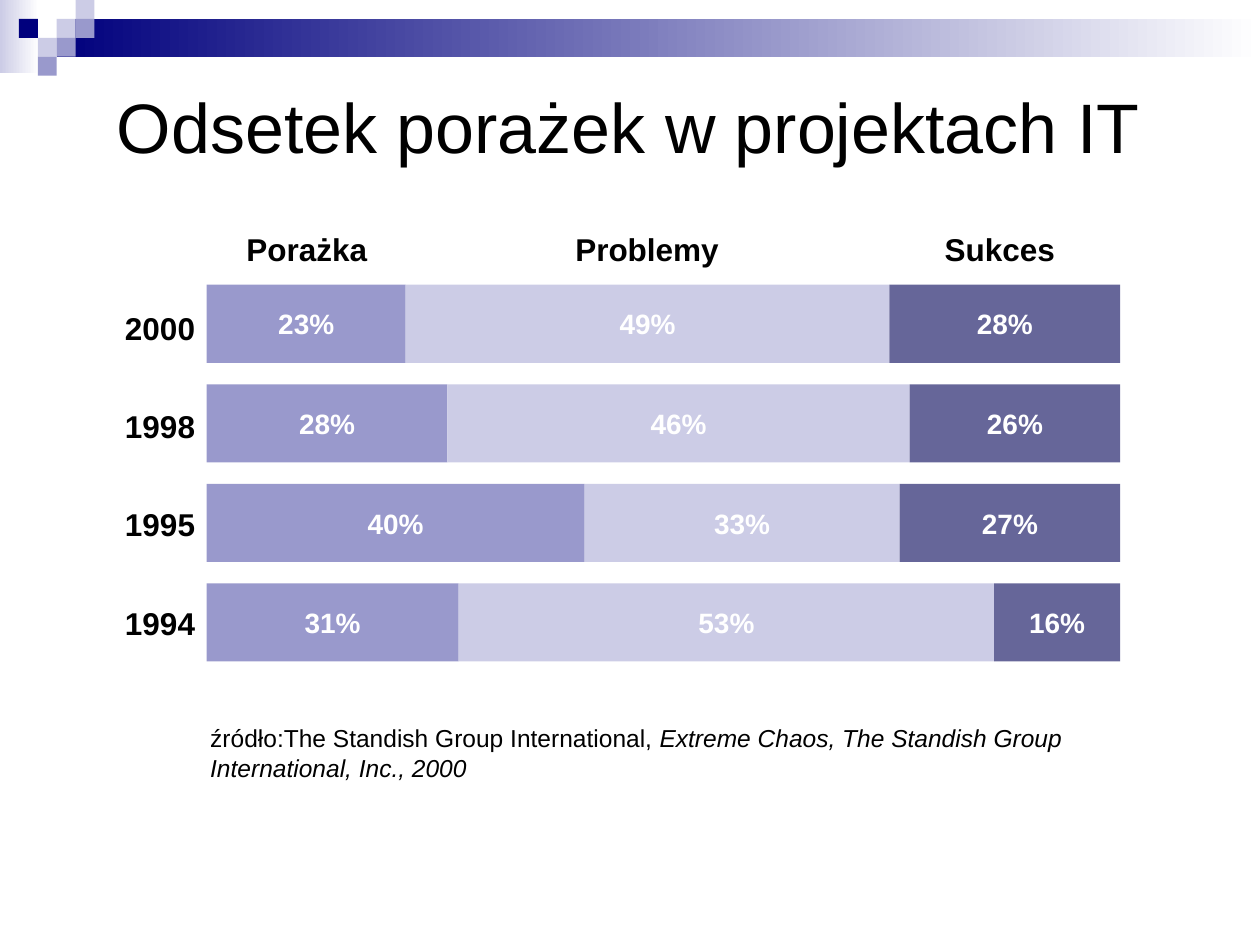
from dataclasses import dataclass

from pptx import Presentation
from pptx.dml.color import RGBColor
from pptx.enum.shapes import MSO_SHAPE
from pptx.enum.text import MSO_ANCHOR, PP_ALIGN
from pptx.util import Inches, Pt


@dataclass(frozen=True)
class Theme:
    font: str = "Arial"
    black: str = "000000"
    white: str = "FFFFFF"
    navy: str = "00007D"
    lavender: str = "9999CC"
    pale: str = "CCCCE6"
    slate: str = "666699"
    title_size: int = 40
    label_size: int = 18
    value_size: int = 16
    source_size: int = 14


theme = Theme()
deck = Presentation()
deck.slide_width, deck.slide_height = Inches(10), Inches(7.5)
slide = deck.slides.add_slide(deck.slide_layouts[6])


def add_block(left, top, width, height, *colors):
    block = slide.shapes.add_shape(
        MSO_SHAPE.RECTANGLE, Inches(left), Inches(top), Inches(width), Inches(height))
    block.shadow.inherit = False
    block.line.fill.background()
    if len(colors) == 1:
        block.fill.solid()
        block.fill.fore_color.rgb = RGBColor.from_string(colors[0])
    else:
        block.fill.gradient()
        block.fill.gradient_angle = 180
        for stop, color in zip(block.fill.gradient_stops, colors):
            stop.color.rgb = RGBColor.from_string(color)
    return block


def write(holder, lines, size, color=theme.black, bold=False,
          align=PP_ALIGN.CENTER, anchor=MSO_ANCHOR.MIDDLE, wrap=True):
    frame = holder.text_frame
    frame.word_wrap = wrap
    frame.vertical_anchor = anchor
    paragraph = frame.paragraphs[0]
    paragraph.alignment = align
    for number, line in enumerate(lines):
        if number:
            paragraph.add_line_break()
        for text, italic in line:
            run = paragraph.add_run()
            run.text = text
            run.font.name = theme.font
            run.font.size = Pt(size)
            run.font.bold = bold
            run.font.italic = italic
            run.font.color.rgb = RGBColor.from_string(color)


add_block(0, 0, 0.31, 0.58, theme.white, theme.pale)
add_block(0.45, 0.15, 9.55, 0.3, theme.white, theme.navy)
tile = 0.15
mosaic = [
    (3, 1, theme.pale), (4, 0, theme.pale), (4, 1, theme.lavender),
    (2, 2, theme.pale), (1, 1, theme.navy), (3, 2, theme.lavender),
    (2, 3, theme.lavender),
]
for column, row, color in mosaic:
    add_block(column * tile, row * tile, tile, tile, color)

title = slide.shapes.add_textbox(Inches(0.83), Inches(0.6), Inches(8.77), Inches(0.79))
write(title, [[("Odsetek porażek w projektach IT", False)]], theme.title_size,
      align=PP_ALIGN.LEFT)

bars_left, bars_right = 1.64, 8.89
outcomes = ["Porażka", "Problemy", "Sukces"]
outcome_colors = [theme.lavender, theme.pale, theme.slate]
years = [
    ("2000", (23, 49, 28), (3.22, 7.06)),
    ("1998", (28, 46, 26), (3.55, 7.22)),
    ("1995", (40, 33, 27), (4.64, 7.14)),
    ("1994", (31, 53, 16), (3.64, 7.89)),
]

for index, (year, shares, splits) in enumerate(years):
    year_label = slide.shapes.add_textbox(
        Inches(0.97), Inches(2.41 + 0.78 * index), Inches(0.6), Inches(0.38))
    year_label.text_frame.margin_left = year_label.text_frame.margin_right = Inches(0)
    write(year_label, [[(year, False)]], theme.label_size, bold=True, wrap=False)
    edges = [bars_left, *splits, bars_right]
    for share, color, left, right in zip(shares, outcome_colors, edges, edges[1:]):
        segment = add_block(left, 2.26 + 0.79 * index, right - left, 0.62, color)
        write(segment, [[(f"{share}%", False)]], theme.value_size,
              color=theme.white, bold=True, wrap=False)

heading_edges = [1.63, 3.24, 7.03, 8.84]
for outcome, left, right in zip(outcomes, heading_edges, heading_edges[1:]):
    heading = slide.shapes.add_textbox(
        Inches(left), Inches(1.78), Inches(right - left), Inches(0.4))
    write(heading, [[(outcome, False)]], theme.label_size, bold=True,
          anchor=MSO_ANCHOR.TOP)

source = slide.shapes.add_textbox(Inches(1.57), Inches(5.4), Inches(7.23), Inches(1.15))
write(source, [
    [("źródło:The Standish Group International, ", False),
     ("Extreme Chaos, The Standish Group ", True)],
    [("International, Inc., 2000", True)],
], theme.source_size, align=PP_ALIGN.LEFT)

deck.save("out.pptx")
